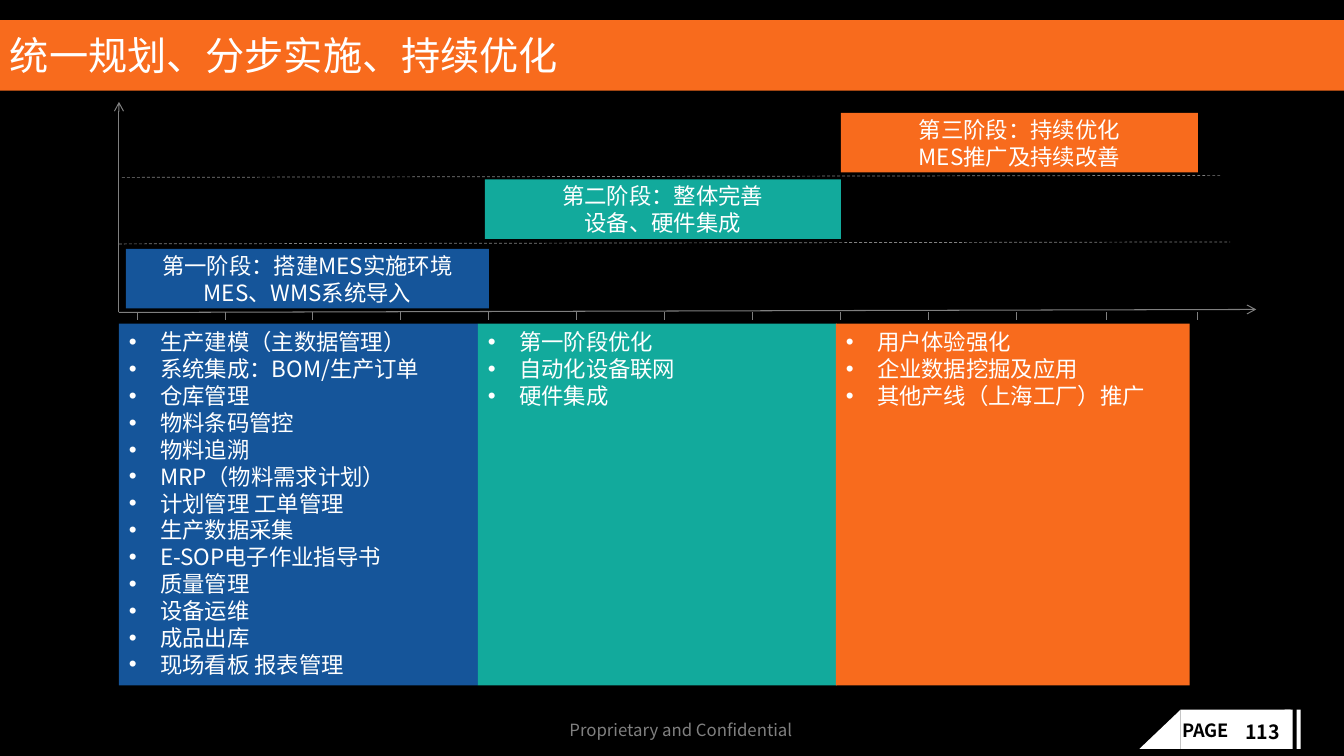
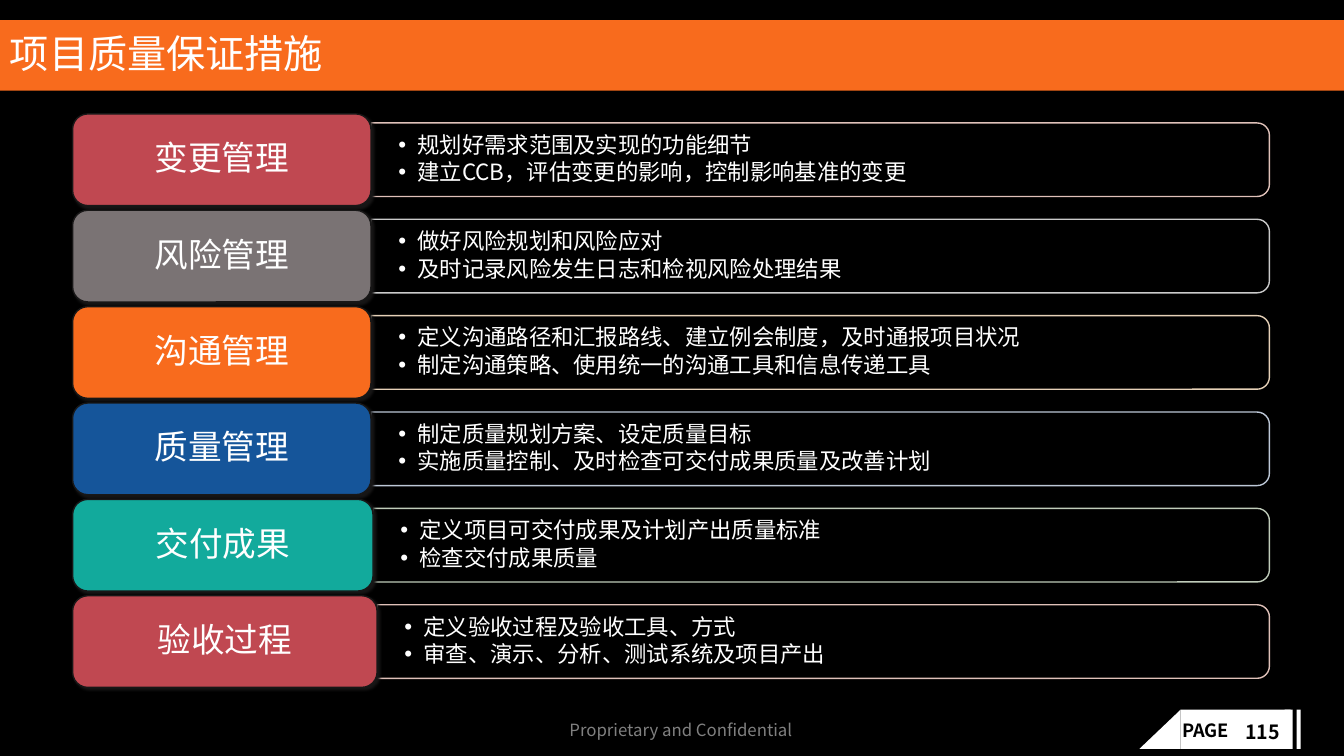
from lxml import etree
from pptx import Presentation
from pptx.dml.color import RGBColor
from pptx.enum.dml import MSO_LINE
from pptx.enum.shapes import MSO_CONNECTOR, MSO_SHAPE
from pptx.enum.text import MSO_ANCHOR, PP_ALIGN
from pptx.oxml.ns import qn
from pptx.util import Inches, Pt

FONT = "Noto Sans CJK SC"
BLACK = RGBColor(0x00, 0x00, 0x00)
WHITE = RGBColor(0xFF, 0xFF, 0xFF)
ORANGE = RGBColor(0xF8, 0x6B, 0x1D)
BLUE = RGBColor(0x15, 0x55, 0x9A)
TEAL = RGBColor(0x12, 0xAA, 0x9C)
RED = RGBColor(0xC0, 0x48, 0x51)
TAUPE = RGBColor(0x7A, 0x73, 0x74)
GRAY = RGBColor(0x80, 0x80, 0x80)
AXIS = RGBColor(0x7F, 0x7F, 0x7F)
EDGE = RGBColor(0x18, 0x17, 0x17)
PINK_LINE = RGBColor(0xF8, 0xD7, 0xCE)
SILVER_LINE = RGBColor(0xE1, 0xE1, 0xE1)
CREAM_LINE = RGBColor(0xFF, 0xE8, 0xCC)
SKY_LINE = RGBColor(0xD2, 0xDE, 0xEF)
MINT_LINE = RGBColor(0xD5, 0xE3, 0xCF)


def add_box(slide, kind, bounds, fill=None):
    """Add a flat shape without outline; bounds are left, top, width, height in inches."""
    box = slide.shapes.add_shape(kind, *[Inches(length) for length in bounds])
    box.shadow.inherit = False
    box.line.fill.background()
    if fill is None:
        box.fill.background()
    else:
        box.fill.solid()
        box.fill.fore_color.rgb = fill
    return box


def write(box, lines, size, color=WHITE, bold=False, bullet_indent=None, frame=None, **paragraph):
    """Write one paragraph per line; frame and paragraph hold format values."""
    for name, value in (frame or {}).items():
        setattr(box.text_frame, name, value)
    for index, line in enumerate(lines):
        para = box.text_frame.paragraphs[0] if index == 0 else box.text_frame.add_paragraph()
        if bullet_indent:
            properties = para._p.get_or_add_pPr()
            properties.set("marL", str(Inches(bullet_indent)))
            properties.set("indent", str(-Inches(bullet_indent)))
            etree.SubElement(properties, qn("a:buFont")).set("typeface", "Arial")
            etree.SubElement(properties, qn("a:buChar")).set("char", "•")
        for name, value in {"alignment": PP_ALIGN.LEFT, **paragraph}.items():
            setattr(para, name, value)
        span = para.add_run()
        span.text = line
        for name, value in {"name": FONT, "size": Pt(size), "bold": bold}.items():
            setattr(span.font, name, value)
        span.font.color.rgb = color
        etree.SubElement(span._r.get_or_add_rPr(), qn("a:ea")).set("typeface", FONT)


deck = Presentation()
deck.slide_width, deck.slide_height = Inches(13.33), Inches(7.5)
deck.slide_master.background.fill.solid()
deck.slide_master.background.fill.fore_color.rgb = BLACK

# Footer and title band of every slide
slides = []
for title, number, bottom_inset in [
    ("统一规划、分步实施、持续优化", "113", 0),
    ("项目质量保证措施", "115", 0.05),
]:
    slide = deck.slides.add_slide(deck.slide_layouts[6])
    slides.append(slide)
    for left, width, fill in [(11.71, 1.09, WHITE), (12.74, 0.08, WHITE), (12.86, 0.04, WHITE)]:
        add_box(slide, MSO_SHAPE.RECTANGLE, (left, 7.04, width, 0.39), fill)
    corner = add_box(slide, MSO_SHAPE.RIGHT_TRIANGLE, (11.3, 7.04, 0.41, 0.39), WHITE)
    corner._element.spPr.find(qn("a:xfrm")).set("flipH", "1")
    for text, left, width, size, color, bold in [
        ("PAGE", 11.63, 0.73, 13, BLACK, True),
        (number, 12.25, 0.58, 14, BLACK, True),
        ("Proprietary and Confidential", 5.55, 2.56, 12, GRAY, False),
    ]:
        footer = slide.shapes.add_textbox(Inches(left), Inches(7.09), Inches(width), Inches(0.32))
        write(footer, [text], size, color, bold)
    band = add_box(slide, MSO_SHAPE.RECTANGLE, (0, 0.2, 13.33, 0.7), ORANGE)
    write(band, [title], 28, line_spacing=0.9, frame={
        "vertical_anchor": MSO_ANCHOR.MIDDLE, "margin_bottom": Inches(bottom_inset)})

roadmap, quality = slides

# Roadmap: task columns
for left, width, fill, tasks in [
    (1.18, 3.56, BLUE, [
        "生产建模（主数据管理）", "系统集成：BOM/生产订单", "仓库管理", "物料条码管控",
        "物料追溯", "MRP（物料需求计划）", "计划管理 工单管理", "生产数据采集",
        "E-SOP电子作业指导书", "质量管理", "设备运维", "成品出库", "现场看板 报表管理"]),
    (4.74, 3.56, TEAL, ["第一阶段优化", "自动化设备联网", "硬件集成"]),
    (8.29, 3.51, ORANGE, ["用户体验强化", "企业数据挖掘及应用", "其他产线（上海工厂）推广"]),
]:
    column = add_box(roadmap, MSO_SHAPE.RECTANGLE, (left, 3.21, width, 3.59), fill)
    write(column, tasks, 16, bullet_indent=0.31, frame={"vertical_anchor": MSO_ANCHOR.TOP})

# Roadmap: axes, level lines and ticks
axis_style = (AXIS, 0.75, None, True)
level_style = (GRAY, 0.5, MSO_LINE.DASH, False)
tick_style = (AXIS, 0.75, None, False)
ticks = [1.36 + step * 8.72 / 10 for step in range(11)] + [10.97, 11.88]
for ends, (color, width, dash, arrow) in [
    ((1.18, 3.1, 1.18, 1.01), axis_style),
    ((1.18, 3.1, 12.46, 3.07), axis_style),
    ((1.21, 1.76, 12.11, 1.74), level_style),
    ((1.18, 2.42, 12.2, 2.4), level_style),
    *[((tick, 3.1, tick, 3.17), tick_style) for tick in ticks],
]:
    connector = roadmap.shapes.add_connector(
        MSO_CONNECTOR.STRAIGHT, *[Inches(length) for length in ends])
    connector.line.color.rgb = color
    connector.line.width = Pt(width)
    if dash:
        connector.line.dash_style = dash
    if arrow:
        etree.SubElement(connector.line._get_or_add_ln(), qn("a:tailEnd")).set("type", "arrow")
    etree.SubElement(connector._element.spPr, qn("a:effectLst"))

# Roadmap: stages
for left, top, width, fill, lines in [
    (1.25, 2.47, 3.6, BLUE, ["第一阶段：搭建MES实施环境", "MES、WMS系统导入"]),
    (4.81, 1.78, 3.53, TEAL, ["第二阶段：整体完善", "设备、硬件集成"]),
    (8.34, 1.12, 3.54, ORANGE, ["第三阶段：持续优化", "MES推广及持续改善"]),
]:
    stage = add_box(roadmap, MSO_SHAPE.RECTANGLE, (left, top, width, 0.59), fill)
    write(stage, lines, 16, alignment=PP_ALIGN.CENTER)

# Quality: one label and one panel of measures per row
LABEL_LEFT, LABEL_HEIGHT = 0.72, 0.91
PANEL_RIGHT, PANEL_HEIGHT = 12.59, 0.73
FIRST_TOP, LAST_TOP = 1.13, 5.91
rows = [
    ("变更管理", 2.96, RED, PINK_LINE,
     ["规划好需求范围及实现的功能细节", "建立CCB，评估变更的影响，控制影响基准的变更"]),
    ("风险管理", 2.96, TAUPE, SILVER_LINE,
     ["做好风险规划和风险应对", "及时记录风险发生日志和检视风险处理结果"]),
    ("沟通管理", 2.96, ORANGE, CREAM_LINE,
     ["定义沟通路径和汇报路线、建立例会制度，及时通报项目状况",
      "制定沟通策略、使用统一的沟通工具和信息传递工具"]),
    ("质量管理", 2.96, BLUE, SKY_LINE,
     ["制定质量规划方案、设定质量目标", "实施质量控制、及时检查可交付成果质量及改善计划"]),
    ("交付成果", 2.98, TEAL, MINT_LINE,
     ["定义项目可交付成果及计划产出质量标准", "检查交付成果质量"]),
    ("验收过程", 3.02, RED, PINK_LINE,
     ["定义验收过程及验收工具、方式", "审查、演示、分析、测试系统及项目产出"]),
]
for index, (name, label_width, fill, outline, measures) in enumerate(rows):
    top = FIRST_TOP + index * (LAST_TOP - FIRST_TOP) / (len(rows) - 1)
    middle = top + LABEL_HEIGHT / 2
    panel_left = LABEL_LEFT + label_width
    panel_width = PANEL_RIGHT - panel_left

    # The panel lies on its side, so its width and height change places
    panel = add_box(quality, MSO_SHAPE.ROUND_2_SAME_RECTANGLE, (
        panel_left + (panel_width - PANEL_HEIGHT) / 2, middle - panel_width / 2,
        PANEL_HEIGHT, panel_width))
    panel.rotation = 90
    panel.line.color.rgb = outline
    panel.line.width = Pt(1)
    line_color = panel._element.spPr.find(f"{qn('a:ln')}/{qn('a:solidFill')}/{qn('a:srgbClr')}")
    etree.SubElement(line_color, qn("a:alpha")).set("val", "90000")

    text_box = quality.shapes.add_textbox(
        Inches(panel_left), Inches(middle - 0.33), Inches(panel_width), Inches(0.66))
    write(text_box, measures, 16, bullet_indent=0.19, line_spacing=0.9, space_after=Pt(2.4), frame={
        "word_wrap": True, "vertical_anchor": MSO_ANCHOR.MIDDLE,
        "margin_left": Inches(0.27), "margin_right": Inches(0.27),
        "margin_top": Inches(0.14), "margin_bottom": Inches(0.14)})

    label = add_box(quality, MSO_SHAPE.ROUNDED_RECTANGLE,
                    (LABEL_LEFT, top, label_width, LABEL_HEIGHT), fill)
    label.line.color.rgb = EDGE
    label.line.width = Pt(1)
    shadow = etree.SubElement(
        label._element.spPr.find(qn("a:effectLst")), qn("a:outerShdw"),
        blurRad=str(Pt(2)), dist=str(Pt(2)), dir=str(45 * 60000))
    etree.SubElement(shadow, qn("a:srgbClr")).set("val", str(EDGE))
    write(label, [name], 24, alignment=PP_ALIGN.CENTER, line_spacing=0.9)

deck.save("out.pptx")
